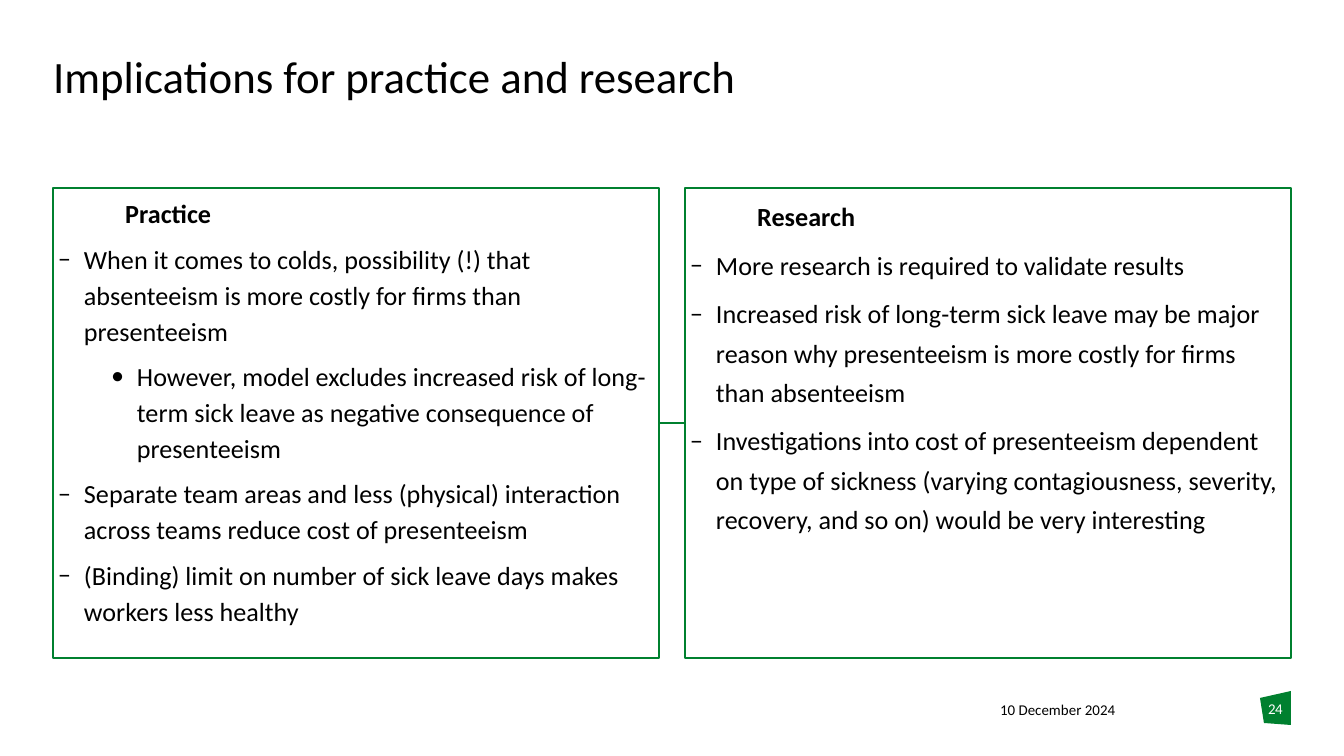
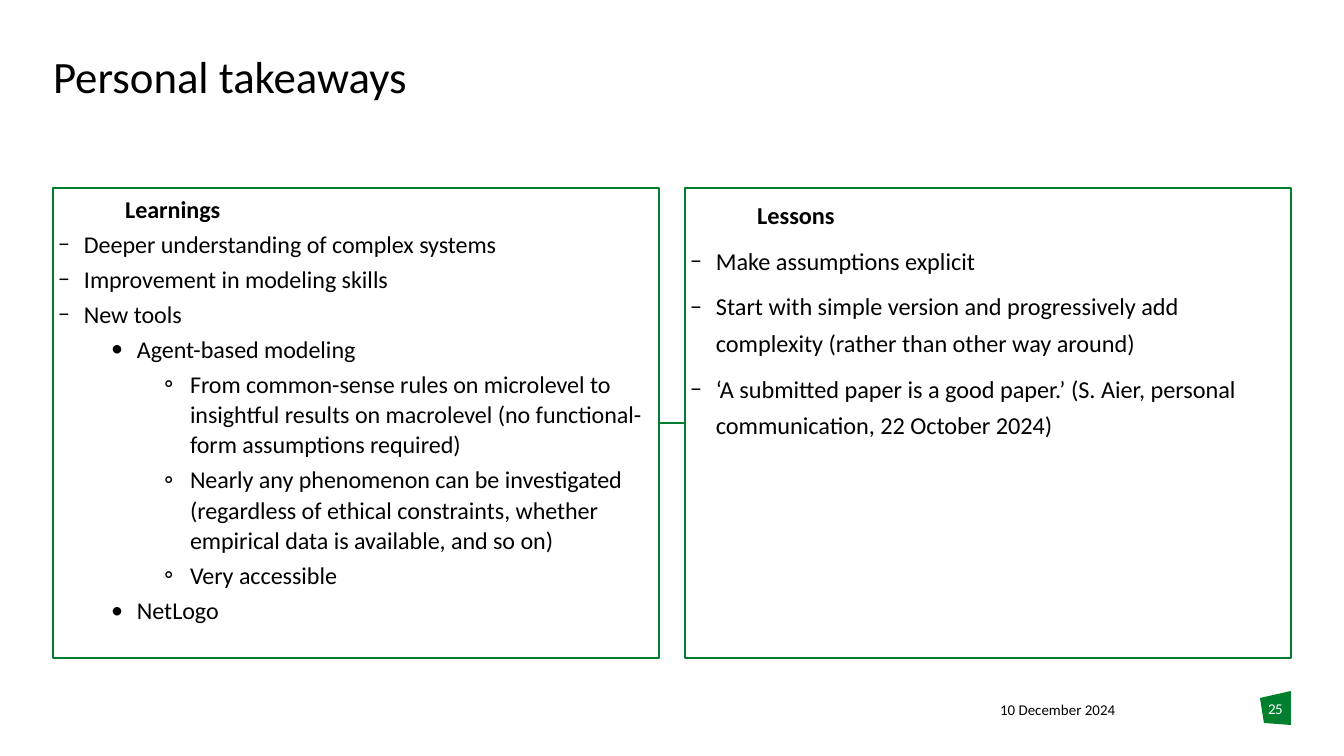
import pptx
import pptx.util
import pptx.dml.color
import pptx.enum.shapes
import pptx.enum.text
import pptx.oxml.ns
import lxml.etree

SLIDES = [
    {
        "title": "Implications for practice and research",
        "number": "24",
        "panels": [
            {
                "size": 14, "line_spacing": 1.15, "space_after": 5,
                "heading": "Practice",
                "points": [
                    (1, "When it comes to colds, possibility (!) that absenteeism is more costly for firms than presenteeism"),
                    (2, "However, model excludes increased risk of long-term sick leave as negative consequence of presenteeism"),
                    (1, "Separate team areas and less (physical) interaction across teams reduce cost of presenteeism"),
                    (1, "(Binding) limit on number of sick leave days makes workers less healthy"),
                ],
            },
            {
                "size": 14, "line_spacing": 1.25, "space_after": 5,
                "heading": "Research",
                "points": [
                    (1, "More research is required to validate results"),
                    (1, "Increased risk of long-term sick leave may be major reason why presenteeism is more costly for firms than absenteeism"),
                    (1, "Investigations into cost of presenteeism dependent on type of sickness (varying contagiousness, severity, recovery, and so on) would be very interesting"),
                ],
            },
        ],
    },
    {
        "title": "Personal takeaways",
        "number": "25",
        "panels": [
            {
                "size": 12.9, "line_spacing": 1.05, "space_after": 2.5,
                "heading": "Learnings",
                "points": [
                    (1, "Deeper understanding of complex systems"),
                    (1, "Improvement in modeling skills"),
                    (1, "New tools"),
                    (2, "Agent-based modeling"),
                    (3, "From common-sense rules on microlevel to insightful results on macrolevel (no functional-form assumptions required)"),
                    (3, "Nearly any phenomenon can be investigated (regardless of ethical constraints, whether empirical data is available, and so on)"),
                    (3, "Very accessible"),
                    (2, "NetLogo"),
                ],
            },
            {
                "size": 13, "line_spacing": 1.25, "space_after": 5,
                "heading": "Lessons",
                "points": [
                    (1, "Make assumptions explicit"),
                    (1, "Start with simple version and progressively add complexity (rather than other way around)"),
                    (1, "‘A submitted paper is a good paper.’ (S. Aier, personal communication, 22 October 2024)"),
                ],
            },
        ],
    },
]
DATE = "10 December 2024"

COLORS = {"green": "00802F", "text": "000000", "white": "FFFFFF"}
FONT = "Calibri"
EMU_PER_PX = 914400 / 134.4

SLIDE_SIZE = (1344, 756)
TITLE_BOX = (53, 55, 1239, 90)
DATE_BOX = (1000, 701, 173, 27)
NUMBER_BOX = (1260, 700, 31, 40)
FLAG = [(1260, 698), (1291, 691), (1291, 725), (1264, 723)]
PANEL_LEFT, PANEL_TOP, PANEL_WIDTH, PANEL_HEIGHT = 53, 188, 606, 470
PANEL_GAP = 26
PANEL_INSET = 5
HANGING, LEVEL_STEP = 26, 53
BULLETS = {1: ("‒", 100), 2: ("•", 100), 3: ("◦", 110)}

ALIGN = pptx.enum.text.PP_ALIGN


def px(length):
    return pptx.util.Emu(round(length * EMU_PER_PX))


def color(name):
    return pptx.dml.color.RGBColor.from_string(COLORS[name])


def add_element(parent, tag, **attributes):
    element = lxml.etree.SubElement(parent, pptx.oxml.ns.qn(tag))
    for name, value in attributes.items():
        element.set(name, str(value))
    return element


def prepare_frame(shape, inset=0):
    frame = shape.text_frame
    frame.word_wrap = True
    frame.auto_size = pptx.enum.text.MSO_AUTO_SIZE.NONE
    frame.vertical_anchor = pptx.enum.text.MSO_ANCHOR.TOP
    frame.margin_left = frame.margin_right = px(inset)
    frame.margin_top = frame.margin_bottom = px(inset)
    return frame


def style(paragraph, size, color_name="text", bold=False, align=ALIGN.LEFT):
    paragraph.alignment = align
    font = paragraph.font
    font.name = FONT
    font.size = pptx.util.Pt(size)
    font.bold = bold
    font.color.rgb = color(color_name)


def add_bullet(paragraph, level):
    character, percent = BULLETS[level]
    properties = paragraph._p.get_or_add_pPr()
    properties.set("marL", str(px(HANGING + LEVEL_STEP * (level - 1))))
    properties.set("indent", str(-px(HANGING)))
    add_element(properties, "a:buSzPct", val=percent * 1000)
    add_element(properties, "a:buFont", typeface=FONT)
    add_element(properties, "a:buChar", char=character)


def add_title(slide, text):
    title = slide.shapes.title
    title.left, title.top, title.width, title.height = map(px, TITLE_BOX)
    paragraph = prepare_frame(title).paragraphs[0]
    paragraph.text = text
    paragraph.line_spacing = 0.9
    style(paragraph, 24)


def add_label(slide, box, text, color_name="text", align=ALIGN.LEFT):
    label = slide.shapes.add_textbox(*map(px, box))
    paragraph = prepare_frame(label).paragraphs[0]
    paragraph.text = text
    style(paragraph, 8, color_name, align=align)
    return paragraph


def add_footer(slide, number):
    builder = slide.shapes.build_freeform(*FLAG[0], scale=EMU_PER_PX)
    builder.add_line_segments(FLAG[1:], close=True)
    flag = builder.convert_to_shape()
    flag.shadow.inherit = False
    flag.fill.solid()
    flag.fill.fore_color.rgb = color("green")
    flag.line.fill.background()
    add_label(slide, DATE_BOX, DATE)
    paragraph = add_label(slide, NUMBER_BOX, number, "white", ALIGN.CENTER)
    paragraph.runs[0]._r.get_or_add_rPr().set("spc", "-30")


def set_line(line):
    line.color.rgb = color("green")
    line.width = pptx.util.Pt(1)


def add_panel(slide, column, panel):
    left = PANEL_LEFT + column * (PANEL_WIDTH + PANEL_GAP)
    box = (left, PANEL_TOP, PANEL_WIDTH, PANEL_HEIGHT)
    shape = slide.shapes.add_shape(pptx.enum.shapes.MSO_SHAPE.RECTANGLE, *map(px, box))
    shape.shadow.inherit = False
    shape.fill.background()
    set_line(shape.line)
    frame = prepare_frame(shape, PANEL_INSET)
    for index, (level, text) in enumerate([(0, panel["heading"])] + panel["points"]):
        paragraph = frame.add_paragraph() if index else frame.paragraphs[0]
        paragraph.text = text
        paragraph.level = max(level, 1)
        paragraph.line_spacing = panel["line_spacing"]
        paragraph.space_after = pptx.util.Pt(panel["space_after"])
        if level:
            add_bullet(paragraph, level)
        style(paragraph, panel["size"], bold=level == 0)
    return shape


def link_panels(slide, left_panel, right_panel):
    connector = slide.shapes.add_connector(pptx.enum.shapes.MSO_CONNECTOR.STRAIGHT, 0, 0, 0, 0)
    connector.begin_connect(left_panel, 3)
    connector.end_connect(right_panel, 1)
    set_line(connector.line)
    add_element(connector._element.spPr, "a:effectLst")


def main():
    presentation = pptx.Presentation()
    presentation.slide_width, presentation.slide_height = map(px, SLIDE_SIZE)
    for content in SLIDES:
        slide = presentation.slides.add_slide(presentation.slide_layouts[5])
        add_title(slide, content["title"])
        add_footer(slide, content["number"])
        panels = [add_panel(slide, column, panel) for column, panel in enumerate(content["panels"])]
        link_panels(slide, *panels)
    presentation.save("out.pptx")


if __name__ == "__main__":
    main()
